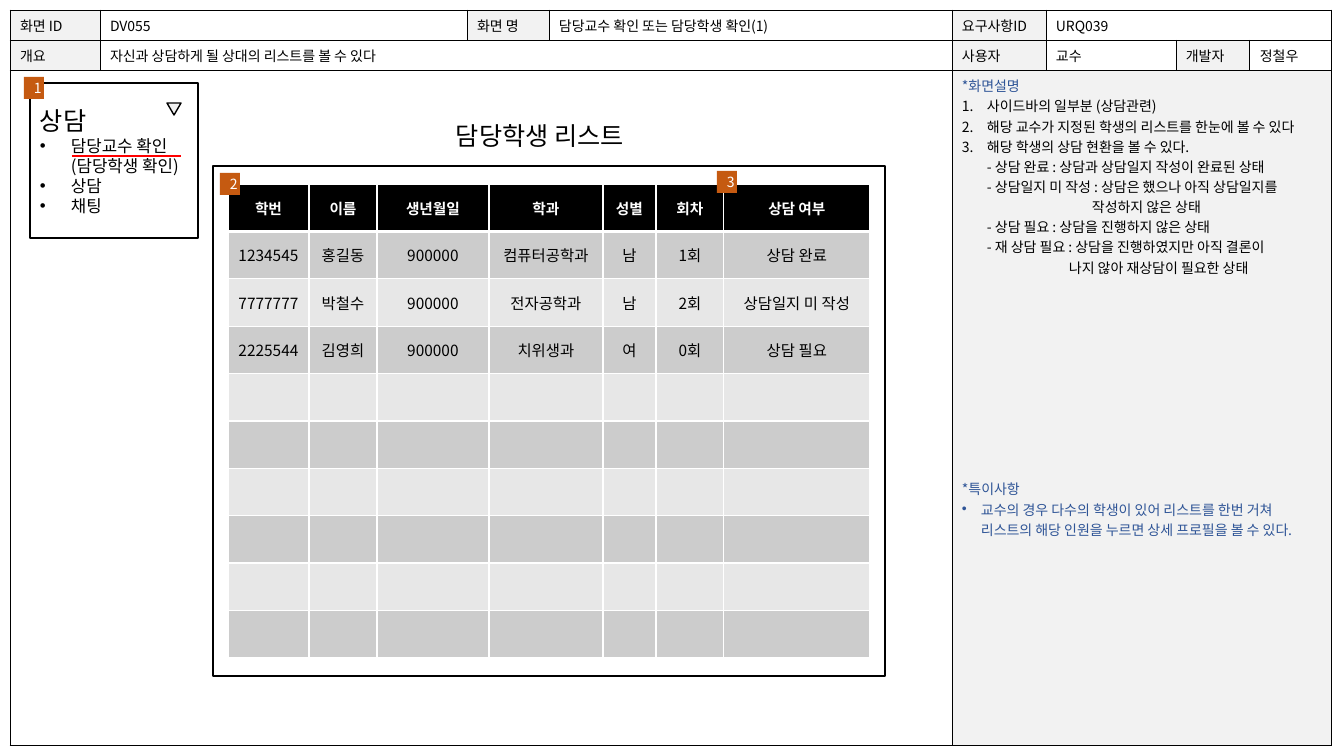
"""Build the screen specification slide for the advisor's student list."""
from lxml import etree
from pptx import Presentation
from pptx.dml.color import RGBColor
from pptx.enum.shapes import MSO_CONNECTOR, MSO_SHAPE
from pptx.enum.text import MSO_ANCHOR, MSO_AUTO_SIZE, PP_ALIGN
from pptx.oxml.ns import qn
from pptx.util import Pt

PX = 914400 / 100.8
FONT = "Noto Sans CJK KR"
COLORS = {"black": "000000", "white": "FFFFFF", "label": "F2F2F2", "blue": "2F5597",
          "orange": "C55A11", "red": "FF0000", "odd": "CCCCCC", "even": "E7E7E7"}
RGB = {name: RGBColor.from_string(value) for name, value in COLORS.items()}


def write(p, text, size, color, bold=False, left=0, hang=0, bullet=None):
    p.text = text
    for r in p.runs:
        r.font.size = Pt(size)
        r.font.name = FONT
        r.font.bold = bold
        r.font.color.rgb = RGB[color]
        etree.SubElement(r.font._element, qn("a:ea"), typeface=FONT)
    if left:
        pPr = p._p.get_or_add_pPr()
        pPr.set("marL", str(round(left * PX)))
        pPr.set("indent", str(round(-hang * PX)))
        if bullet == "1.":
            etree.SubElement(pPr, qn("a:buAutoNum"), type="arabicPeriod")
        elif bullet:
            etree.SubElement(pPr, qn("a:buFont"), typeface="Arial")
            etree.SubElement(pPr, qn("a:buChar"), char=bullet)


def paint_cell(cell, fill, color, widths):
    tcPr = cell._tc.get_or_add_tcPr()
    for side, width in zip("LRTB", widths):
        ln = etree.SubElement(tcPr, qn(f"a:ln{side}"), w=str(Pt(width)))
        solid = etree.SubElement(ln, qn("a:solidFill"))
        etree.SubElement(solid, qn("a:srgbClr"), val=COLORS[color])
    cell.fill.solid()
    cell.fill.fore_color.rgb = RGB[fill]


prs = Presentation()
prs.slide_width, prs.slide_height = round(1344 * PX), round(756 * PX)
slide = prs.slides.add_slide(prs.slide_layouts[6])

spec_cols = [90, 367, 82, 403, 94, 130, 74, 82]
spec_rows = [30, 30, 675]
spec_text = [
    ["화면 ID", "DV055", "화면 명", "담당교수 확인 또는 담당학생 확인(1)", "요구사항ID", "URQ039", "", ""],
    ["개요", "자신과 상담하게 될 상대의 리스트를 볼 수 있다", "", "", "사용자", "교수", "개발자", "정철우"],
    [""] * 8,
]
labels = ["화면 ID", "화면 명", "요구사항ID", "개요", "사용자", "개발자"]
spec = slide.shapes.add_table(3, 8, *[round(v * PX) for v in (10, 10, 1322, 735)]).table
spec.first_row = spec.horz_banding = False
for column, width in zip(spec.columns, spec_cols):
    column.width = round(width * PX)
for i, (height, texts) in enumerate(zip(spec_rows, spec_text)):
    spec.rows[i].height = round(height * PX)
    for j, text in enumerate(texts):
        cell = spec.cell(i, j)
        is_label = text in labels or (i == 2 and j >= 4)
        paint_cell(cell, "label" if is_label else "white", "black", [0.5] * 4)
        if text:
            write(cell.text_frame.paragraphs[0], text, 10, "black")
for row, first, last in [(0, 5, 7), (1, 1, 3), (2, 0, 3), (2, 4, 7)]:
    spec.cell(row, first).merge(spec.cell(row, last))

notes = [
    ("*화면설명", "blue", 0, 0, None),
    ("사이드바의 일부분 (상담관련)", "black", 25, 25, "1."),
    ("해당 교수가 지정된 학생의 리스트를 한눈에 볼 수 있다", "black", 25, 25, "1."),
    ("해당 학생의 상담 현환을 볼 수 있다.", "black", 25, 25, "1."),
    ("- 상담 완료 : 상담과 상담일지 작성이 완료된 상태", "black", 25, 0, None),
    ("- 상담일지 미 작성 : 상담은 했으나 아직 상담일지를", "black", 25, 0, None),
    ("작성하지 않은 상태", "black", 130, 0, None),
    ("- 상담 필요 : 상담을 진행하지 않은 상태", "black", 25, 0, None),
    ("- 재 상담 필요 : 상담을 진행하였지만 아직 결론이", "black", 25, 0, None),
    ("나지 않아 재상담이 필요한 상태", "black", 107, 0, None),
    ("*특이사항", "blue", 0, 0, None),
    ("교수의 경우 다수의 학생이 있어 리스트를 한번 거쳐 리스트의 해당 인원을 누르면 "
     "상세 프로필을 볼 수 있다.", "blue", 19, 19, "•"),
]
tf = spec.cell(2, 4).text_frame
for i, (text, color, left, hang, bullet) in enumerate(notes):
    p = tf.add_paragraph() if i else tf.paragraphs[0]
    if text == "*특이사항":
        p.space_before = Pt(144)
    write(p, text, 10, color, left=left, hang=hang, bullet=bullet)

sidebar = slide.shapes.add_group_shape()
shapes = {}
for owner, name, kind, box, fill, line in [
    (sidebar, "menu", MSO_SHAPE.RECTANGLE, (30, 83, 168, 155), "white", 1),
    (sidebar, "arrow", MSO_SHAPE.ISOSCELES_TRIANGLE, (167, 103, 14, 12), "label", 1),
    (sidebar, "1", MSO_SHAPE.RECTANGLE, (24, 77, 20, 22), "orange", 0),
    (slide, "list frame", MSO_SHAPE.RECTANGLE, (213, 166, 672, 510), "white", 1),
    (slide, "2", MSO_SHAPE.RECTANGLE, (220, 173, 20, 22), "orange", 0),
    (slide, "3", MSO_SHAPE.RECTANGLE, (717, 171, 20, 22), "orange", 0),
]:
    sp = owner.shapes.add_shape(kind, *[round(v * PX) for v in box])
    sp.shadow.inherit = False
    sp.fill.solid()
    sp.fill.fore_color.rgb = RGB[fill]
    if line:
        sp.line.color.rgb = RGB["black"]
        sp.line.width = Pt(line)
    else:
        sp.line.fill.background()
        p = sp.text_frame.paragraphs[0]
        p.alignment = PP_ALIGN.CENTER
        write(p, name, 10, "white")
    sp.text_frame.vertical_anchor = MSO_ANCHOR.MIDDLE
    shapes[name] = sp
shapes["arrow"].rotation = 180

tf = shapes["menu"].text_frame
for i, text in enumerate(["상담", "담당교수 확인\v(담당학생 확인)", "상담", "채팅"]):
    p = tf.add_paragraph() if i else tf.paragraphs[0]
    p.alignment = PP_ALIGN.LEFT
    if i:
        write(p, text, 12, "black", left=31, hang=31, bullet="•")
    else:
        write(p, text, 18, "black")

underline = sidebar.shapes.add_connector(
    MSO_CONNECTOR.STRAIGHT, *[round(v * PX) for v in (72, 156, 181, 156)])
underline.line.color.rgb = RGB["red"]
underline.line.width = Pt(1.5)
etree.SubElement(underline._element.spPr, qn("a:effectLst"))

title = slide.shapes.add_textbox(*[round(v * PX) for v in (446, 115, 208, 40)])
tf = title.text_frame
tf.word_wrap = False
tf.auto_size = MSO_AUTO_SIZE.SHAPE_TO_FIT_TEXT
write(tf.paragraphs[0], "담당학생 리스트", 18, "black")

student_cols = [81, 68, 112, 114, 53, 68, 146]
student_text = [
    ["학번", "이름", "생년월일", "학과", "성별", "회차", "상담 여부"],
    ["1234545", "홍길동", "900000", "컴퓨터공학과", "남", "1회", "상담 완료"],
    ["7777777", "박철수", "900000", "전자공학과", "남", "2회", "상담일지 미 작성"],
    ["2225544", "김영희", "900000", "치위생과", "여", "0회", "상담 필요"],
] + [[""] * 7] * 6
frame = slide.shapes.add_table(10, 7, *[round(v * PX) for v in (228, 184, 642, 474)])
students = frame.table
for column, width in zip(students.columns, student_cols):
    column.width = round(width * PX)
for i, texts in enumerate(student_text):
    students.rows[i].height = round(474 * PX / 10)
    fill = "black" if i == 0 else "odd" if i % 2 else "even"
    widths = [1, 1, 3 if i == 1 else 1, 3 if i == 0 else 1]
    for j, text in enumerate(texts):
        cell = students.cell(i, j)
        paint_cell(cell, fill, "white", widths)
        cell.vertical_anchor = MSO_ANCHOR.MIDDLE
        if text:
            p = cell.text_frame.paragraphs[0]
            p.alignment = PP_ALIGN.CENTER
            write(p, text, 11 if i else 10.5, "black" if i else "white", bold=i == 0)

for number in "23":
    slide.shapes._spTree.append(shapes[number]._element)

prs.save("out.pptx")
